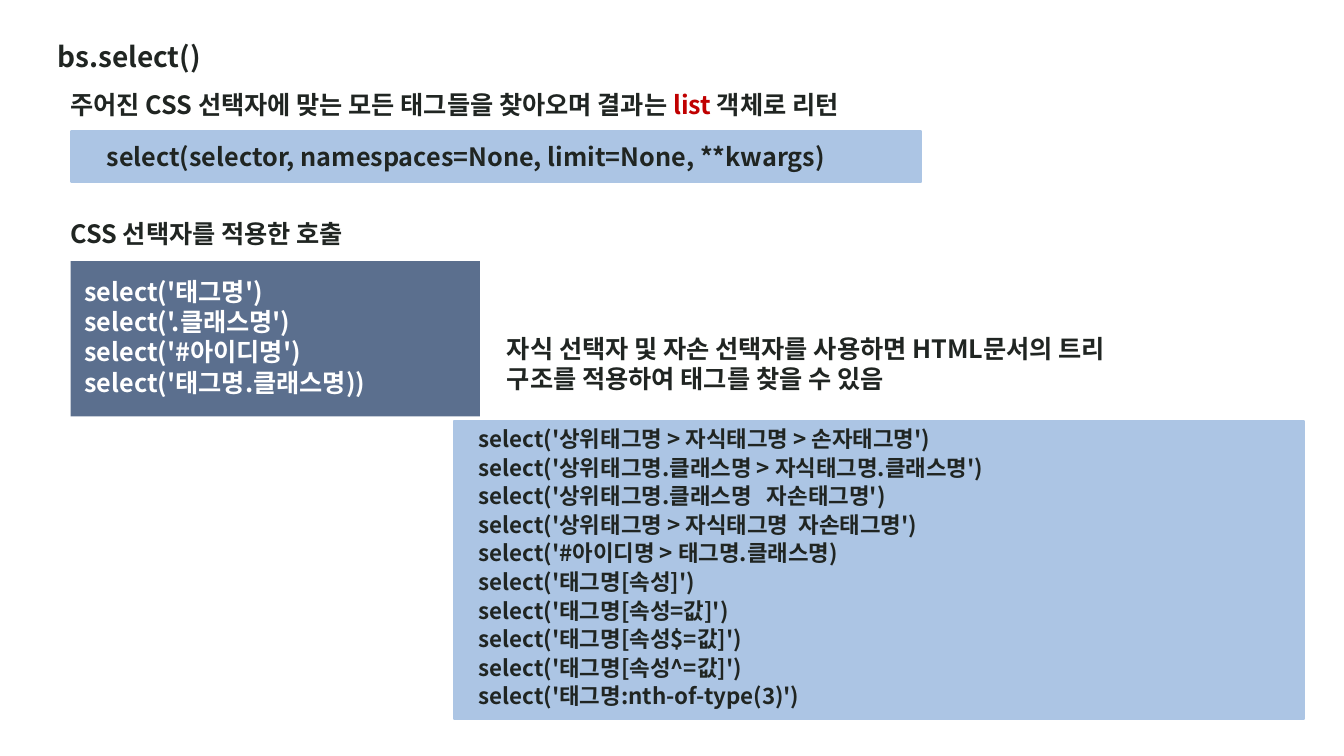
from pptx import Presentation
from pptx.dml.color import RGBColor
from pptx.enum.shapes import MSO_SHAPE
from pptx.oxml.ns import qn
from pptx.util import Pt
from lxml.etree import SubElement

PX = 9144  # 100 px to the inch
THEME = {
    "font": "Noto Sans CJK KR",
    "ink": RGBColor(0x20, 0x25, 0x22),
    "white": RGBColor(0xFF, 0xFF, 0xFF),
    "accent": RGBColor(0xC0, 0x00, 0x00),
    "light": RGBColor(0xAC, 0xC5, 0xE4),
    "dark": RGBColor(0x5B, 0x6F, 0x8E),
    "title": Pt(20),
    "body": Pt(18),
    "code": Pt(16),
}


def add_panel(box, fill, outlined):
    panel = slide.shapes.add_shape(MSO_SHAPE.RECTANGLE, *[n * PX for n in box])
    panel.shadow.inherit = False
    panel.fill.solid()
    panel.fill.fore_color.rgb = THEME[fill]
    if outlined:
        panel.line.color.rgb = THEME[fill]
        panel.line.width = Pt(1.5)
    else:
        panel.line.fill.background()


def add_text(box, lines, size="body", color="ink", before=7, spacing=None):
    """Each line is a list of (text, colour) runs or a plain string."""
    frame = slide.shapes.add_textbox(*[n * PX for n in box]).text_frame
    frame.word_wrap = True
    for index, line in enumerate(lines):
        paragraph = frame.add_paragraph() if index else frame.paragraphs[0]
        paragraph.space_before = Pt(before)
        paragraph.line_spacing = spacing
        for text, run_color in [(line, color)] if isinstance(line, str) else line:
            run = paragraph.add_run()
            run.text = text
            run.font.name = THEME["font"]
            run.font.size = THEME[size]
            run.font.bold = True
            run.font.color.rgb = THEME[run_color]
            # Hangul takes its typeface from the East Asian slot
            east_asian = SubElement(run.font._element, qn("a:ea"))
            east_asian.set("typeface", THEME["font"])


presentation = Presentation()
presentation.slide_width = 1333 * PX
presentation.slide_height = 750 * PX
slide = presentation.slides.add_slide(presentation.slide_layouts[6])

# Heading and signature
add_text((47, 34, 882, 44), ["bs.select()"], size="title")
add_text((60, 84, 854, 40), [[
    ("주어진 CSS 선택자에 맞는 모든 태그들을 찾아오며 결과는 ", "ink"),
    ("list ", "accent"),
    ("객체로 리턴", "ink"),
]])
add_panel((71, 130, 843, 51), "light", outlined=True)
add_text((96, 135, 818, 40), ["select(selector, namespaces=None, limit=None, **kwargs)"])

# Basic selectors
add_text((60, 212, 854, 40), ["CSS 선택자를 적용한 호출"])
add_panel((70, 259, 406, 154), "dark", outlined=False)
basic_calls = [
    "select('태그명')",
    "select('.클래스명')",
    "select('#아이디명')",
    "select('태그명.클래스명))",
]
add_text((74, 269, 394, 131), basic_calls, color="white", before=0)

# Child, descendant and attribute selectors
add_text((493, 326, 617, 71), [
    "자식 선택자 및 자손 선택자를 사용하면 HTML문서의 트리 구조를 적용하여 태그를 찾을 수 있음",
])
add_panel((450, 418, 843, 295), "light", outlined=True)
tree_calls = [
    "select('상위태그명 > 자식태그명 > 손자태그명')",
    "select('상위태그명.클래스명 > 자식태그명.클래스명')",
    "select('상위태그명.클래스명   자손태그명')",
    "select('상위태그명 > 자식태그명  자손태그명')",
    "select('#아이디명 > 태그명.클래스명)",
    "select('태그명[속성]')",
    "select('태그명[속성=값]')",
    "select('태그명[속성$=값]')",
    "select('태그명[속성^=값]')",
    "select('태그명:nth-of-type(3)')",
]
add_text((465, 424, 882, 288), tree_calls, size="code", spacing=0.7)

presentation.save("out.pptx")
